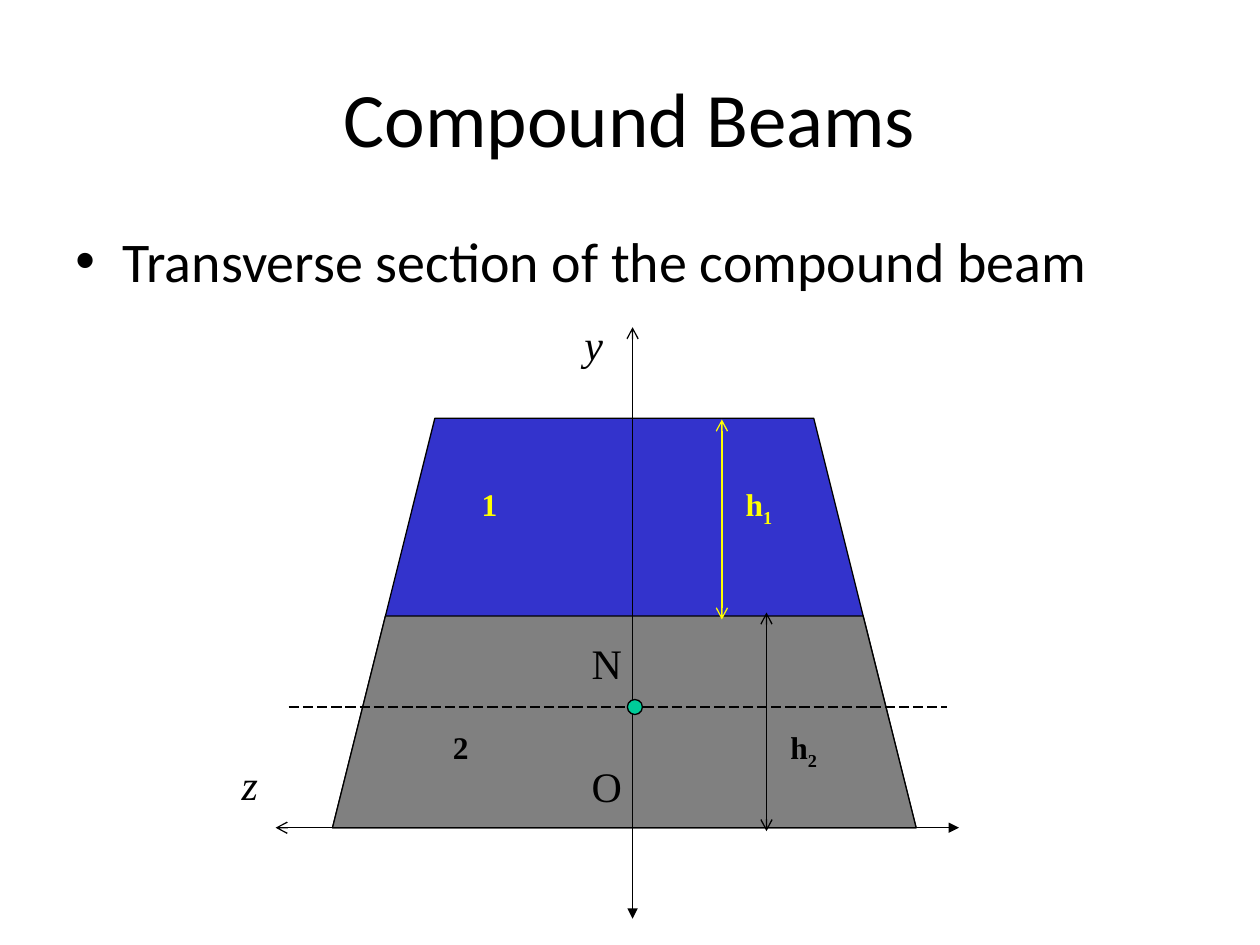
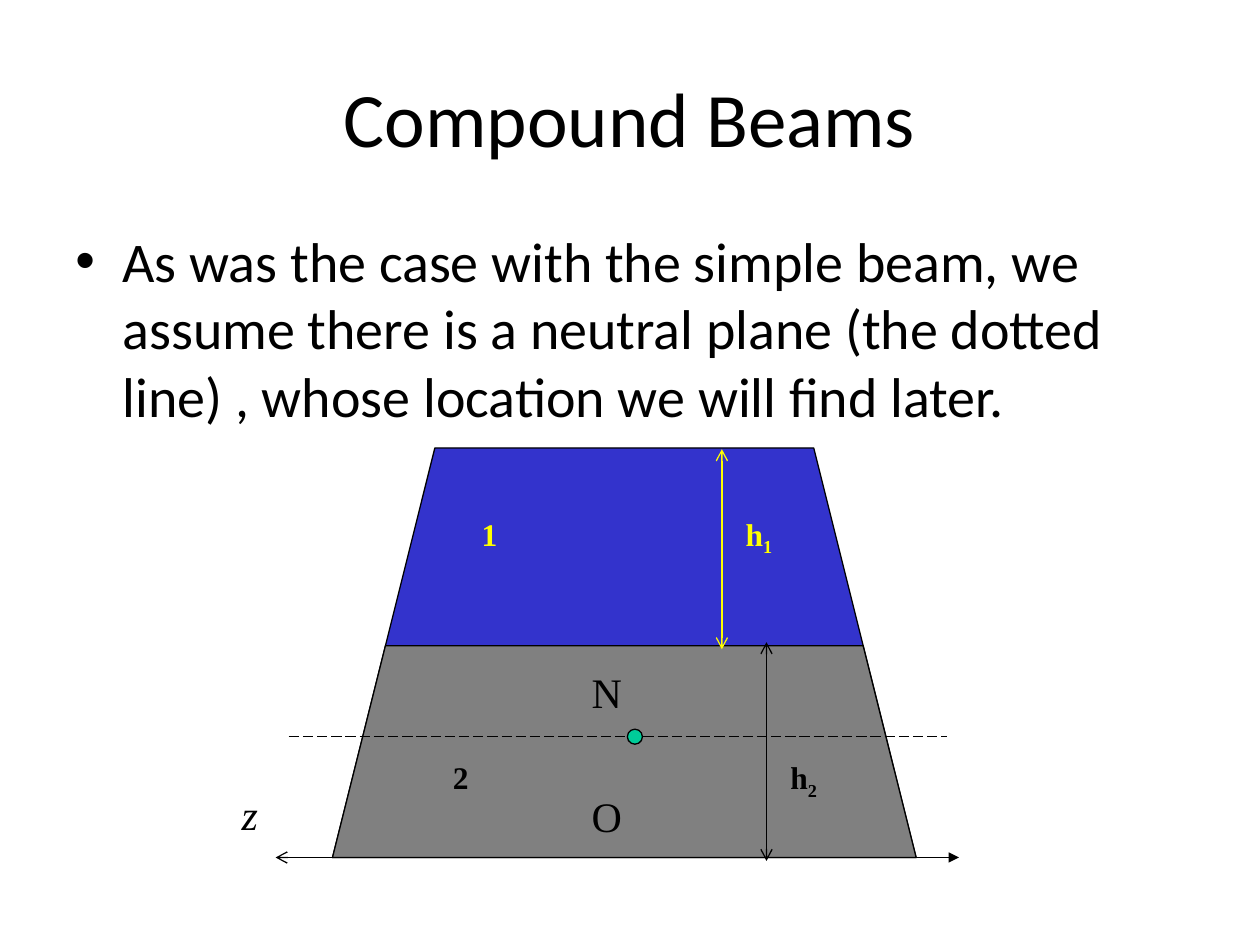
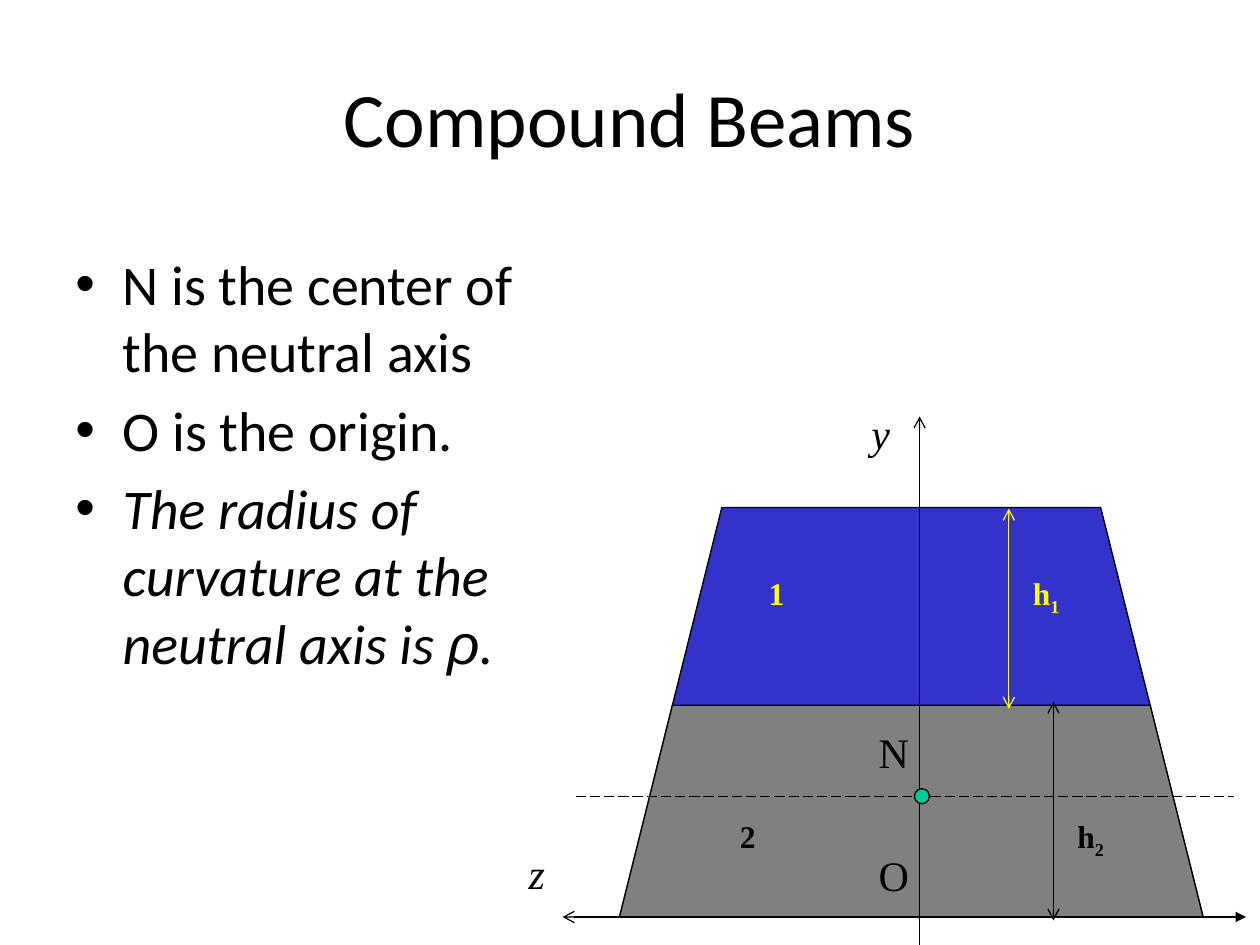
import pptx
import pptx.util
import pptx.dml.color
import pptx.enum.dml
import pptx.enum.shapes
import pptx.enum.text
import pptx.oxml.ns
import lxml.etree

Pt = pptx.util.Pt
SHAPE = pptx.enum.shapes.MSO_SHAPE
ALIGN = pptx.enum.text.PP_ALIGN
ANCHOR = pptx.enum.text.MSO_ANCHOR
AUTO = pptx.enum.text.MSO_AUTO_SIZE
qn = pptx.oxml.ns.qn

COLORS = {"black": "000000", "yellow": "FFFF00", "upper": "3333CC",
          "lower": "808080", "dot": "00CC99"}

# Text styles
TITLE = {"name": "Calibri", "size": Pt(44)}
BODY = {"name": "Calibri", "size": Pt(32)}
PART = {"name": "Times New Roman", "size": Pt(18), "bold": True}
POINT = {"name": "Times New Roman", "size": Pt(24)}
AXIS = {**POINT, "italic": True}

# Sizes of the beam section, measured from its top left corner
BEAM_W, BEAM_H, UPPER_H = 333.5, 234, 113
AXIS_X, NEUTRAL_Y, DOT = 171.5, 165, 8.6
LABEL_W = 42.5


def rgb(color):
    return pptx.dml.color.RGBColor.from_string(COLORS[color])


def set_all(obj, values):
    for key, value in values.items():
        setattr(obj, key, value)


def add_run(p, text, style, color="black", subscript=False):
    r = p.add_run()
    r.text = text
    set_all(r.font, style)
    r.font.color.rgb = rgb(color)
    if subscript:
        r.font._element.set("baseline", "-25000")


def add_text(s, x, y, w, h, **frame):
    tf = s.shapes.add_textbox(Pt(x), Pt(y), Pt(w), Pt(h)).text_frame
    set_all(tf, {"word_wrap": True, **frame})
    return tf


def add_title(s, text):
    tf = add_text(s, 36, 21.6, 648, 90, vertical_anchor=ANCHOR.MIDDLE)
    p = tf.paragraphs[0]
    p.alignment = ALIGN.CENTER
    add_run(p, text, TITLE)


def add_bullets(s, box, items, margin_top):
    """Each item is a list of (text, style changes) runs."""
    tf = add_text(s, *box, margin_top=Pt(margin_top))
    for i, runs in enumerate(items):
        p = tf.add_paragraph() if i else tf.paragraphs[0]
        p.space_before = Pt(6.4 if i else 0)
        pPr = p._p.get_or_add_pPr()
        pPr.set("marL", str(Pt(27)))
        pPr.set("indent", str(-Pt(27)))
        lxml.etree.SubElement(pPr, qn("a:buFont")).set("typeface", "Arial")
        lxml.etree.SubElement(pPr, qn("a:buChar")).set("char", "•")
        for text, changes in runs:
            add_run(p, text, {**BODY, **changes})


def add_label(s, x, y, h, text, style, color="black", sub=""):
    tf = add_text(s, x, y, LABEL_W, h, auto_size=AUTO.SHAPE_TO_FIT_TEXT)
    p = tf.paragraphs[0]
    p.alignment = ALIGN.CENTER
    add_run(p, text, style, color)
    if sub:
        add_run(p, sub, style, color, subscript=True)


def add_shape(s, kind, x, y, w, h, fill):
    sp = s.shapes.add_shape(kind, Pt(x), Pt(y), Pt(w), Pt(h))
    sp.shadow.inherit = False
    sp.fill.solid()
    sp.fill.fore_color.rgb = rgb(fill)
    sp.line.color.rgb = rgb("black")
    sp.line.width = Pt(0.75)


def add_line(s, x1, y1, x2, y2, color="black", head=None, tail=None, dash=None):
    c = s.shapes.add_connector(pptx.enum.shapes.MSO_CONNECTOR.STRAIGHT,
                               Pt(x1), Pt(y1), Pt(x2), Pt(y2))
    c.line.color.rgb = rgb(color)
    c.line.width = Pt(0.75)
    if dash:
        c.line.dash_style = dash
    ln = c.line._get_or_add_ln()
    for tag, end in (("a:headEnd", head), ("a:tailEnd", tail)):
        if end:
            lxml.etree.SubElement(ln, qn(tag)).set("type", end)
    lxml.etree.SubElement(c._element.spPr, qn("a:effectLst"))


def add_beam(s, x, y, y_axis=True):
    """Transverse section with its top left corner at x, y."""
    base = y + BEAM_H
    # Two materials
    add_shape(s, SHAPE.TRAPEZOID, x, y, BEAM_W, BEAM_H, "upper")
    add_shape(s, SHAPE.TRAPEZOID, x, y + UPPER_H, BEAM_W, BEAM_H - UPPER_H, "lower")
    add_label(s, x + 68.5, y + 34.5, 43, "1", PART, "yellow")
    add_label(s, x + 52, y + 173.5, 43, "2", PART)
    # Axes
    ends = {"head": "triangle", "tail": "arrow"}
    if y_axis:
        add_line(s, x + AXIS_X, base + 52, x + AXIS_X, y - 52, **ends)
        add_label(s, x + 128, y - 60.5, 52.5, "y", AXIS)
    add_line(s, x + 358, base, x - 32.5, base, **ends)
    add_label(s, x - 68.5, y + 191, 52.5, "z", AXIS)
    # Origin and neutral axis
    add_label(s, x + 135.5, y + 192, 52.5, "O", POINT)
    add_label(s, x + 135.5, y + 121.5, 52.5, "N", POINT)
    add_line(s, x - 25, y + NEUTRAL_Y, x + 351, y + NEUTRAL_Y,
             dash=pptx.enum.dml.MSO_LINE.LONG_DASH)
    # Heights of the two parts
    for dx, bottom, top, label_y, sub, color in (
            (222.5, 115, 0.7, 34.5, "1", "yellow"),
            (248, 236, 111, 173.5, "2", "black")):
        add_line(s, x + dx, y + bottom, x + dx, y + top, color, "arrow", "arrow")
        add_label(s, x + dx, y + label_y, 29, "h", PART, color, sub)
    add_shape(s, SHAPE.OVAL, x + AXIS_X + 1.3 - DOT / 2, y + NEUTRAL_Y - DOT / 2,
              DOT, DOT, "dot")


def main():
    prs = pptx.Presentation()
    prs.slide_width, prs.slide_height = Pt(720), Pt(540)
    wide, narrow = (36, 126, 648, 356.4), (36, 94.3, 269.3, 419.8)
    italic = {"italic": True}
    # Body box, top margin, bullets, beam corner, y axis shown
    slides = [
        (wide, 3.6, [[("Transverse section of the compound beam", {})]],
         (190, 239), True),
        (wide, 3.6, [[("As was the case with the simple beam, we assume there is "
                       "a neutral plane (the dotted line) , whose location we "
                       "will find later.", {})]],
         (190, 256), False),
        (narrow, 48.4, [[("N is the center of the neutral axis", {})],
                        [("O is the origin.", {})],
                        [("The radius of curvature at the neutral axis is ", italic),
                         ("ρ", {**italic, "name": "Arial"}),
                         (".", italic)]],
         (354, 290), True),
    ]
    for box, margin_top, items, corner, y_axis in slides:
        s = prs.slides.add_slide(prs.slide_layouts[6])
        add_title(s, "Compound Beams")
        add_bullets(s, box, items, margin_top)
        add_beam(s, *corner, y_axis)
    prs.save("out.pptx")


main()
